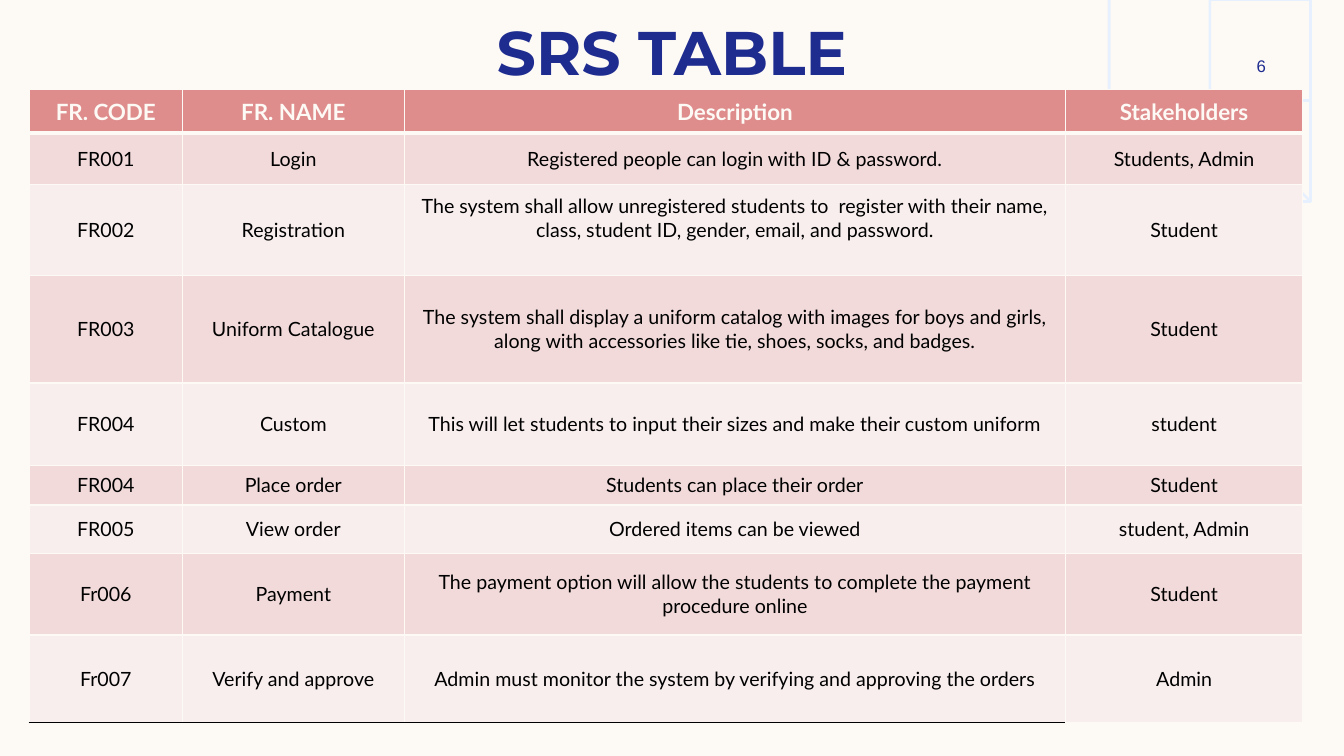
from math import asin, cos, pi, sin

from lxml.etree import SubElement
from pptx import Presentation
from pptx.dml.color import RGBColor
from pptx.enum.text import MSO_ANCHOR as Anchor, MSO_AUTO_SIZE as AutoSize, PP_ALIGN as Align
from pptx.oxml.ns import qn
from pptx.util import Inches, Pt

TITLE = "SRS TABLE"
PAGE = "6"
HEADER = ("FR. CODE", "FR. NAME", "Description", "Stakeholders")
REQUIREMENTS = [
    ("FR001", "Login", "Registered people can login with ID & password.", "Students, Admin"),
    ("FR002", "Registration",
     "The system shall allow unregistered students to  register with their name, "
     "class, student ID, gender, email, and password.", "Student"),
    ("FR003", "Uniform Catalogue",
     "The system shall display a uniform catalog with images for boys and girls, "
     "along with accessories like tie, shoes, socks, and badges.", "Student"),
    ("FR004", "Custom",
     "This will let students to input their sizes and make their custom uniform", "student"),
    ("FR004", "Place order", "Students can place their order", "Student"),
    ("FR005", "View order", "Ordered items can be viewed", "student, Admin"),
    ("Fr006", "Payment",
     "The payment option will allow the students to complete the payment procedure online",
     "Student"),
    ("Fr007", "Verify and approve",
     "Admin must monitor the system by verifying and approving the orders", "Admin"),
]
COL_WIDTHS = (1.52, 2.2, 6.56, 2.35)
ROW_HEIGHTS = (0.43, 0.51, 0.9, 1.07, 0.82, 0.39, 0.48, 0.81, 0.87)
COLORS = {"cream": "FDFAF6", "arcs": "E6F0FE", "navy": "1F2C8F", "header": "DE8C8C",
          "odd": "F2DADA", "even": "F9EEEE", "black": "000000"}
WIDTH, HEIGHT = 13.33, 7.5

ARC_COUNT, ARC_STEP, ARC_LINE = 17, 0.14, 1.8
ARC_OUTER, ARC_CENTER_Y = 2.53, -0.15
ARC_SEGMENTS = 10


def color(name):
    return RGBColor.from_string(COLORS[name])


def style_text(tf, font, size, name, bold=False):
    """Centre the text frame's only paragraph and set its font."""
    tf.word_wrap = True
    tf.vertical_anchor = Anchor.MIDDLE
    p = tf.paragraphs[0]
    p.alignment = Align.CENTER
    p.font.name, p.font.size, p.font.bold = font, Pt(size), bold
    p.font.color.rgb = color(name)


def arc_points(radius):
    """Points of the visible arc, from the slide's top edge to its right edge."""
    start = asin(-ARC_CENTER_Y / radius)
    angles = (start + (pi / 2 - start) * i / ARC_SEGMENTS for i in range(ARC_SEGMENTS + 1))
    return [(WIDTH - radius * cos(a), ARC_CENTER_Y + radius * sin(a)) for a in angles]


def add_arcs(s):
    arcs = [arc_points(ARC_OUTER - i * ARC_STEP) for i in range(ARC_COUNT)]
    builder = s.shapes.build_freeform(*arcs[0][0], scale=Inches(1))
    for points in arcs:
        builder.move_to(*points[0])
        builder.add_line_segments(points[1:], close=False)
    sp = builder.convert_to_shape()
    sp.shadow.inherit = False
    sp.fill.background()
    sp.line.color.rgb = color("arcs")
    sp.line.width = Pt(ARC_LINE)


def set_borders(cell, **borders):
    """Give each side (L, R, T, B) a colour name and a width in points."""
    tcPr = cell._tc.get_or_add_tcPr()
    for i, side in enumerate("LRTB"):
        name, width = borders.get(side, ("cream", 1))
        ln = SubElement(tcPr, qn(f"a:ln{side}"), w=str(Pt(width)))
        SubElement(SubElement(ln, qn("a:solidFill")), qn("a:srgbClr"), val=COLORS[name])
        tcPr.insert(i, ln)


def add_requirements(s):
    rows = [HEADER] + REQUIREMENTS
    last = len(rows) - 1
    table = s.shapes.add_table(len(rows), len(HEADER), Inches(0.29), Inches(0.89),
                               Inches(sum(COL_WIDTHS)), Inches(sum(ROW_HEIGHTS))).table
    for column, width in zip(table.columns, COL_WIDTHS):
        column.width = Inches(width)
    for r, (texts, height) in enumerate(zip(rows, ROW_HEIGHTS)):
        table.rows[r].height = Inches(height)
        for c, text in enumerate(texts):
            cell = table.cell(r, c)
            cell.text = text
            cell.vertical_anchor = Anchor.MIDDLE
            cell.fill.solid()
            borders = {}
            if r == 0:
                style_text(cell.text_frame, "Lato", 16, "cream", bold=True)
                cell.fill.fore_color.rgb = color("header")
                borders["B"] = ("cream", 3)
            else:
                style_text(cell.text_frame, "Lato", 14, "black")
                cell.fill.fore_color.rgb = color("odd" if r % 2 else "even")
            if r == 1:
                borders["T"] = ("cream", 3)
            if r == last and c < len(HEADER) - 1:
                borders["B"] = ("black", 1)
            set_borders(cell, **borders)
    table.cell(2, 2).margin_bottom = Inches(0.29)


def main():
    prs = Presentation()
    prs.slide_width, prs.slide_height = Inches(WIDTH), Inches(HEIGHT)
    s = prs.slides.add_slide(prs.slide_layouts[5])
    s.background.fill.solid()
    s.background.fill.fore_color.rgb = color("cream")
    add_arcs(s)

    title = s.shapes.title
    title.left, title.top = Inches(0.83), Inches(0.08)
    title.width, title.height = Inches(11.67), Inches(0.84)
    title.text_frame.text = TITLE
    title.text_frame.auto_size = AutoSize.NONE
    style_text(title.text_frame, "Montserrat", 44, "navy", bold=True)

    page = s.shapes.add_textbox(Inches(11.97), Inches(0.5), Inches(1.08), Inches(0.3))
    page.text_frame.text = PAGE
    style_text(page.text_frame, "Arial", 12, "navy")

    add_requirements(s)
    prs.save("out.pptx")


if __name__ == "__main__":
    main()
